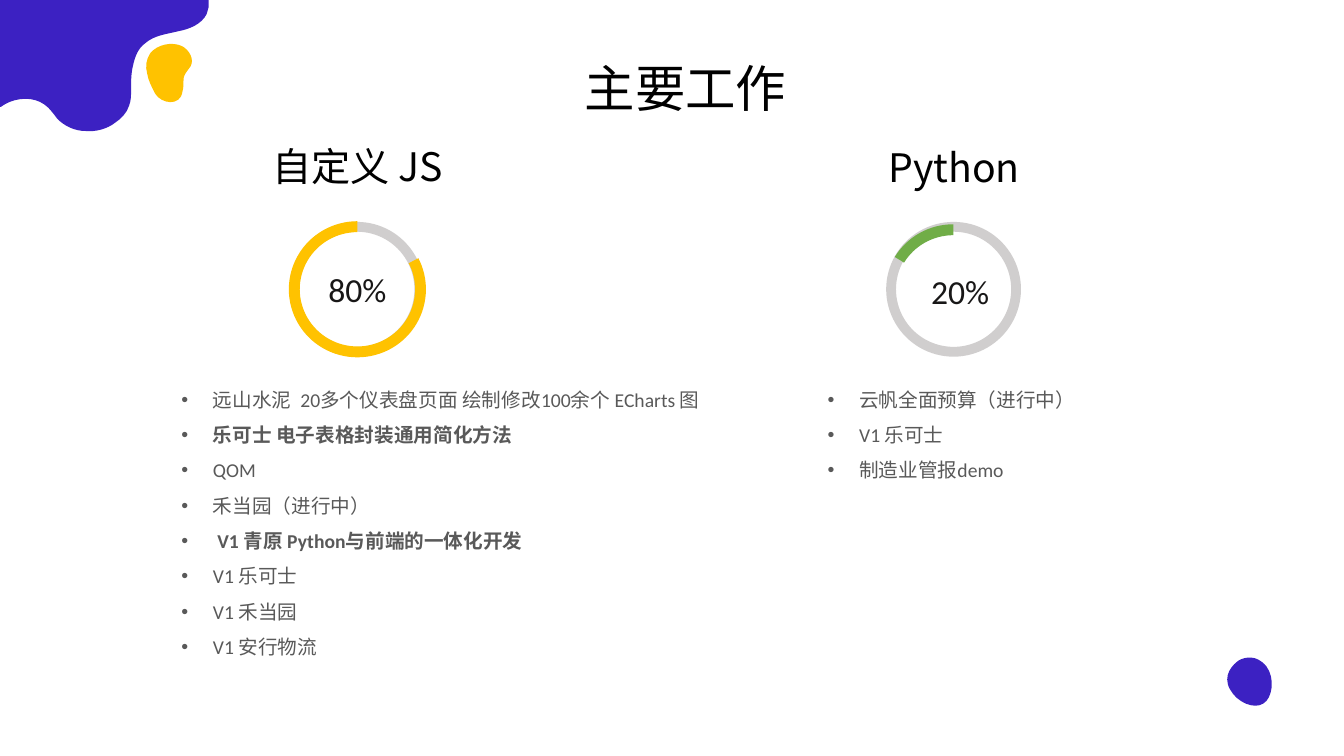
from dataclasses import dataclass

from lxml.etree import SubElement
from pptx import Presentation
from pptx.dml.color import RGBColor as Rgb
from pptx.enum.shapes import MSO_SHAPE as Kind
from pptx.enum.text import MSO_ANCHOR as Anchor, MSO_AUTO_SIZE as Fit, PP_ALIGN as Align
from pptx.oxml.ns import qn
from pptx.util import Inches, Pt

WIDE, HIGH = Inches(13.33), Inches(7.5)
SANS, BODY = "Noto Sans CJK JP", "Calibri"
BLUE, GOLD, GREEN, GREY = "3C21C2", "FFC200", "70AD47", "D0CECE"
BLACK, INK, SOFT = "000000", "181717", "595959"

Box = tuple[float, float, float, float]  # left, top, width, height in % of the slide


@dataclass
class Panel:
    head: str
    head_box: Box
    rate: str
    rate_box: Box
    ring: Box
    arc: Box
    start: float  # start angle of the arc, in adjustment units
    color: str
    list_box: Box
    items: list[str]
    bold: tuple[int, ...] = ()


@dataclass
class Blob:
    color: str
    start: tuple[int, int]  # points in hundredths of an inch
    lines: list[tuple[int, int]]
    curves: list[tuple[int, ...]]  # two control points and an end point


BLOBS = [
    Blob(BLUE, (207, 0), [(0, 0), (0, 106), (1, 106)], [
        (4, 104, 7, 102, 10, 101), (23, 96, 38, 97, 48, 107),
        (51, 110, 54, 114, 57, 118), (64, 125, 74, 130, 85, 130),
        (95, 131, 106, 128, 114, 122), (120, 118, 126, 112, 128, 105),
        (130, 100, 130, 95, 130, 90), (130, 81, 130, 73, 132, 65),
        (134, 56, 137, 48, 144, 43), (153, 35, 165, 34, 177, 31),
        (188, 29, 200, 24, 205, 14), (206, 12, 206, 9, 207, 7)]),
    Blob(GOLD, (154, 93), [], [
        (160, 103, 179, 106, 181, 91), (182, 88, 182, 84, 182, 81),
        (182, 79, 182, 76, 184, 73), (185, 71, 187, 69, 189, 66),
        (193, 59, 188, 50, 181, 46), (171, 41, 156, 44, 149, 53),
        (145, 59, 144, 66, 146, 73), (147, 80, 151, 87, 154, 93)]),
    Blob(BLUE, (1256, 661), [], [
        (1265, 673, 1262, 693, 1253, 698), (1244, 704, 1227, 697, 1220, 684),
        (1212, 670, 1223, 659, 1229, 655), (1235, 652, 1246, 649, 1256, 661)]),
]

PANELS = [
    Panel("自定义 JS", (18.15, 18.13, 16.95, 7.6),
          "80%", (22.43, 34.93, 8.33, 6.67),
          (21.9, 30, 9.3, 16.53), (21.53, 29.2, 10.13, 18.13), 37.81, GOLD,
          (12.75, 49.07, 44.03, 39.07),
          ["远山水泥  20多个仪表盘页面 绘制修改100余个 ECharts 图",
           "乐可士 电子表格封装通用简化方法", "QOM", "禾当园（进行中）",
           " V1 青原 Python与前端的一体化开发", "V1 乐可士", "V1 禾当园", "V1 安行物流"],
          (1, 4)),
    Panel("Python", (64.65, 18.27, 12.68, 7.6),
          "20%", (67.28, 35.2, 8.33, 6.67),
          (66.3, 30, 9.3, 16.53), (65.87, 29.6, 10.13, 18.13), 180.68, GREEN,
          (60.83, 49.07, 20.33, 19.47),
          ["云帆全面预算（进行中）", "V1 乐可士", "制造业管报demo"]),
]


def rgb(color: str) -> Rgb:
    return Rgb.from_string(color)


def span(box: Box) -> list[int]:
    return [round(part * size / 100) for part, size in zip(box, (WIDE, HIGH) * 2)]


def paint(shape, color: str) -> None:
    shape.shadow.inherit = False
    shape.fill.solid()
    shape.fill.fore_color.rgb = rgb(color)
    shape.line.fill.background()


def write(shape, box: Box, text: str, size: int, font: str, color: str,
          align: Align = Align.CENTER) -> None:
    shape.left, shape.top, shape.width, shape.height = span(box)
    frame = shape.text_frame
    frame.text = text
    frame.word_wrap, frame.auto_size = True, Fit.NONE
    frame.vertical_anchor = Anchor.TOP
    for par in frame.paragraphs:
        par.alignment = align
        par.space_before = Pt(0)
        for run in par.runs:
            face = run.font
            face.size, face.name, face.bold = Pt(size), font, False
            face.color.rgb = rgb(color)
            SubElement(run._r.get_or_add_rPr(), qn("a:ea"), typeface=SANS)


def draw_blob(slide, blob: Blob) -> None:
    dots = blob.lines + [curve[4:] for curve in blob.curves]
    pen = slide.shapes.build_freeform(*blob.start, scale=Inches(0.01))
    pen.add_line_segments(dots, close=True)
    shape = pen.convert_to_shape()
    paint(shape, blob.color)

    # Bend the segments that are curves
    left, top = (min(axis) for axis in zip(blob.start, *dots))
    edges = list(shape._element.iter(qn("a:lnTo")))[len(blob.lines):]
    for edge, curve in zip(edges, blob.curves):
        bend = edge.makeelement(qn("a:cubicBezTo"))
        for x, y in zip(curve[::2], curve[1::2]):
            SubElement(bend, qn("a:pt"), x=str(x - left), y=str(y - top))
        edge.getparent().replace(edge, bend)


def draw_panel(slide, panel: Panel, head, body) -> None:
    shapes = slide.shapes
    write(head, panel.head_box, panel.head, 28, SANS, BLACK)

    # Ring with its share
    ring = shapes.add_shape(Kind.OVAL, *span(panel.ring))
    ring.shadow.inherit = False
    ring.fill.background()
    ring.line.color.rgb, ring.line.width = rgb(GREY), Pt(7)
    arc = shapes.add_shape(Kind.BLOCK_ARC, *span(panel.arc))
    paint(arc, panel.color)
    arc.rotation = 270
    for place, value in enumerate((panel.start, 0, 0.08)):
        arc.adjustments[place] = value
    rate = shapes.add_textbox(*span(panel.rate_box))
    write(rate, panel.rate_box, panel.rate, 24, BODY, INK)

    # Project list
    write(body, panel.list_box, "\n".join(panel.items), 14, BODY, SOFT, Align.LEFT)
    for row, par in enumerate(body.text_frame.paragraphs):
        par.line_spacing = 1.5
        props = par._p.get_or_add_pPr()
        props.set("marL", str(Pt(22.5)))
        props.set("indent", str(-Pt(22.5)))
        SubElement(props, qn("a:buFont"), typeface="Arial")
        SubElement(props, qn("a:buChar"), char="•")
        for run in par.runs:
            run.font.bold = row in panel.bold


def main() -> None:
    deck = Presentation()
    deck.slide_width, deck.slide_height = WIDE, HIGH
    # Comparison layout: title, then a heading and a list for each panel
    slide = deck.slides.add_slide(deck.slide_layouts[4])
    title, *slots = slide.placeholders
    for blob in BLOBS:
        draw_blob(slide, blob)
    write(title, (26.4, 6.93, 49.2, 9.47), "主要工作", 36, SANS, BLACK)
    for panel, head, body in zip(PANELS, slots[::2], slots[1::2]):
        draw_panel(slide, panel, head, body)
    deck.save("out.pptx")


if __name__ == "__main__":
    main()
